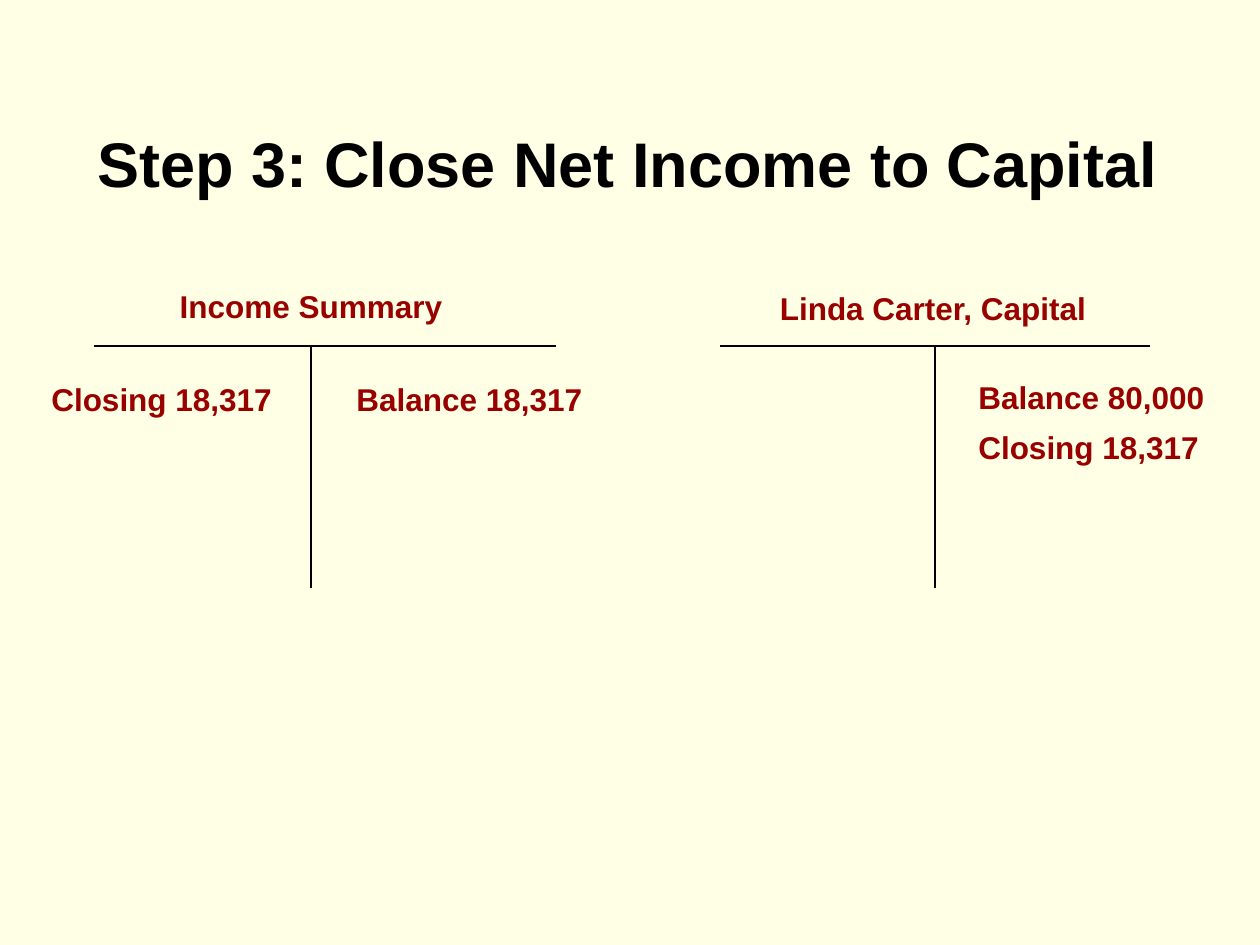
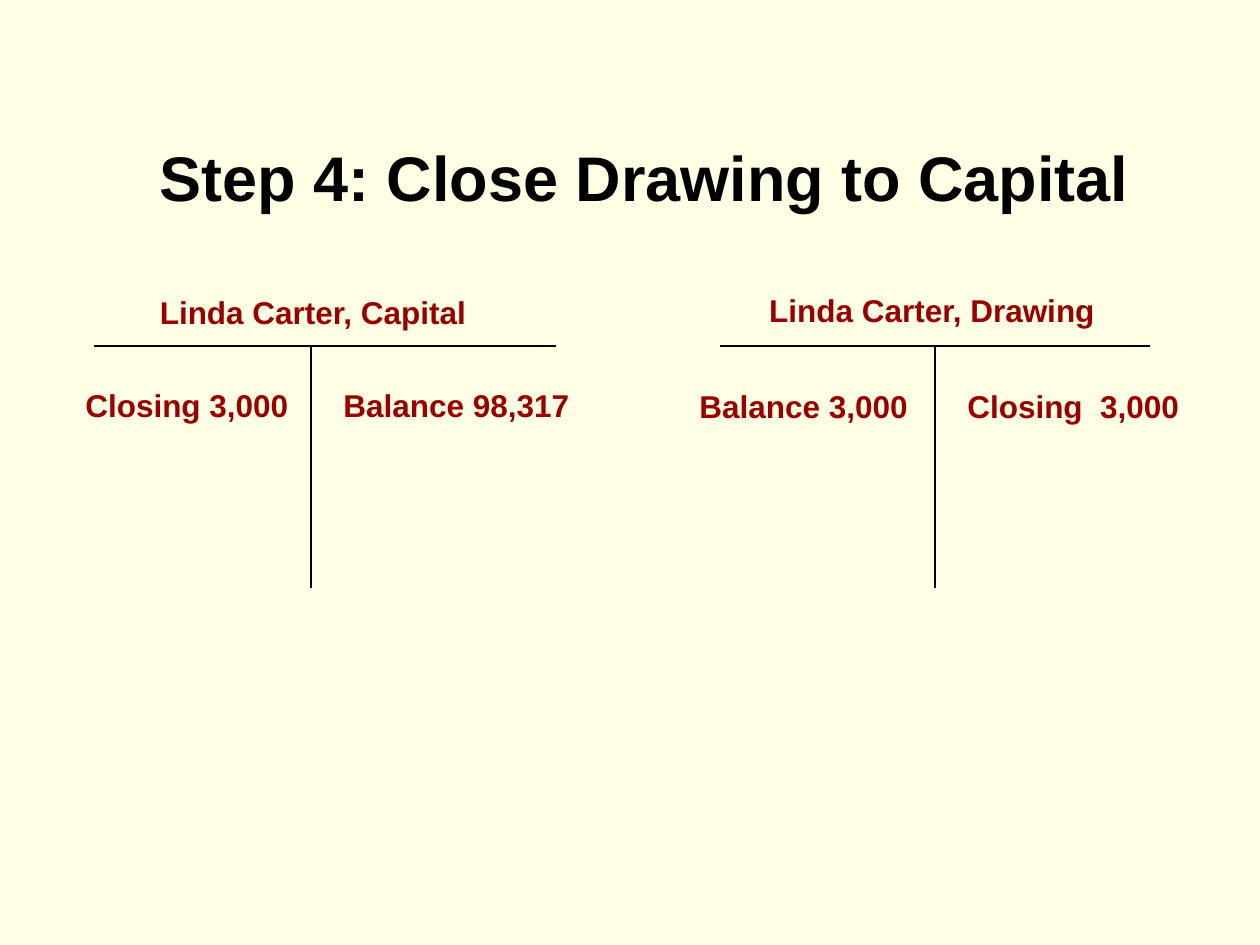
from collections import namedtuple

from lxml import etree
from pptx import Presentation
from pptx.dml.color import RGBColor
from pptx.enum.shapes import MSO_CONNECTOR
from pptx.enum.text import MSO_ANCHOR, MSO_AUTO_SIZE, PP_ALIGN
from pptx.oxml.ns import qn
from pptx.util import Inches, Pt

PX_PER_INCH = 126
TITLE_ONLY = 5
STRAIGHT = MSO_CONNECTOR.STRAIGHT
TOP = MSO_ANCHOR.TOP
NO_FIT = MSO_AUTO_SIZE.NONE
LEFT, CENTER = PP_ALIGN.LEFT, PP_ALIGN.CENTER

CREAM = RGBColor(0xFF, 0xFF, 0xE5)
BLACK = RGBColor(0x00, 0x00, 0x00)
DARK_RED = RGBColor(0x99, 0x00, 0x00)

TITLE_FONT = {"name": "Arial", "size": Pt(36), "bold": True}
ACCOUNT_FONT = {"name": "Arial", "size": Pt(18), "bold": True}
FRAME_FORMAT = {
    "auto_size": NO_FIT,
    "vertical_anchor": TOP,
    "margin_left": Inches(0.1),
    "margin_right": Inches(0.1),
    "margin_top": Inches(0.05),
    "margin_bottom": Inches(0.05),
}

Box = namedtuple("Box", "left top width height")
Label = namedtuple("Label", "text dx dy")

LEFT_ACCOUNT, LEFT_STEM = Box(94, 346, 462, 242), 217
RIGHT_ACCOUNT, RIGHT_STEM = Box(720, 346, 430, 242), 215
HEADING_WIDTH, ENTRY_WIDTH, LABEL_HEIGHT = 360, 290, 50


def px(length):
    """Turn a length in px into EMU."""
    return Inches(length / PX_PER_INCH)


def apply_format(target, values):
    """Set every attribute named in a dict of format values."""
    for attribute, value in values.items():
        setattr(target, attribute, value)


def write_text(shape, text, font, color, align, wrap=True):
    """Put one formatted paragraph into a shape."""
    frame = shape.text_frame
    apply_format(frame, FRAME_FORMAT)
    frame.word_wrap = wrap
    paragraph = frame.paragraphs[0]
    paragraph.text = text
    paragraph.alignment = align
    apply_format(paragraph.font, font)
    paragraph.font.color.rgb = color


def set_title(slide, text, box, align):
    """Move and format the title placeholder."""
    title = slide.shapes.title
    apply_format(title, {side: px(value) for side, value in box._asdict().items()})
    write_text(title, text, TITLE_FONT, BLACK, align)


def add_label(slide, text, box, align, wrap):
    """Add a red account label."""
    label = slide.shapes.add_textbox(*map(px, box))
    write_text(label, text, ACCOUNT_FONT, DARK_RED, align, wrap)


def add_rule(slide, start, end):
    """Add a thin black line without a shadow."""
    rule = slide.shapes.add_connector(STRAIGHT, *map(px, start + end))
    rule.line.color.rgb = BLACK
    rule.line.width = Pt(0.75)
    etree.SubElement(rule._element.spPr, qn("a:effectLst"))


def add_account(slide, box, stem_dx, heading, entries):
    """Draw a T-account with labels placed from the top of its stem."""
    stem = box.left + stem_dx
    add_rule(slide, (box.left, box.top), (box.left + box.width, box.top))
    add_rule(slide, (stem, box.top), (stem, box.top + box.height))
    heading_left = stem + heading.dx - HEADING_WIDTH // 2
    heading_box = Box(heading_left, box.top + heading.dy, HEADING_WIDTH, LABEL_HEIGHT)
    add_label(slide, heading.text, heading_box, CENTER, False)
    for entry in entries:
        entry_box = Box(stem + entry.dx, box.top + entry.dy, ENTRY_WIDTH, LABEL_HEIGHT)
        add_label(slide, entry.text, entry_box, LEFT, True)


def add_closing_step(deck, title, title_box, title_align, left_labels, right_labels):
    """Add a slide with a title and two T-accounts."""
    slide = deck.slides.add_slide(deck.slide_layouts[TITLE_ONLY])
    set_title(slide, title, title_box, title_align)
    add_account(slide, LEFT_ACCOUNT, LEFT_STEM, left_labels[0], left_labels[1:])
    add_account(slide, RIGHT_ACCOUNT, RIGHT_STEM, right_labels[0], right_labels[1:])


def main():
    """Build and save the deck."""
    deck = Presentation()
    deck.slide_width, deck.slide_height = Inches(10), Inches(7.5)
    background = deck.slide_master.background.fill
    background.solid()
    background.fore_color.rgb = CREAM
    add_closing_step(
        deck, "Step 3: Close Net Income to Capital", Box(60, 118, 1135, 88), CENTER,
        [
            Label("Income Summary", 0, -65),
            Label("Closing 18,317", -272, 28),
            Label("Balance 18,317", 33, 28),
        ],
        [
            Label("Linda Carter, Capital", -2, -63),
            Label("Balance 80,000", 31, 26),
            Label("Closing 18,317", 31, 76),
        ],
    )
    add_closing_step(
        deck, "Step 4: Close Drawing to Capital", Box(147, 132, 1081, 88), LEFT,
        [
            Label("Linda Carter, Capital", 2, -59),
            Label("Closing 3,000", -238, 34),
            Label("Balance 98,317", 20, 34),
        ],
        [
            Label("Linda Carter, Drawing", -3, -61),
            Label("Balance 3,000", -248, 35),
            Label("Closing  3,000", 20, 35),
        ],
    )
    deck.save("out.pptx")


if __name__ == "__main__":
    main()
